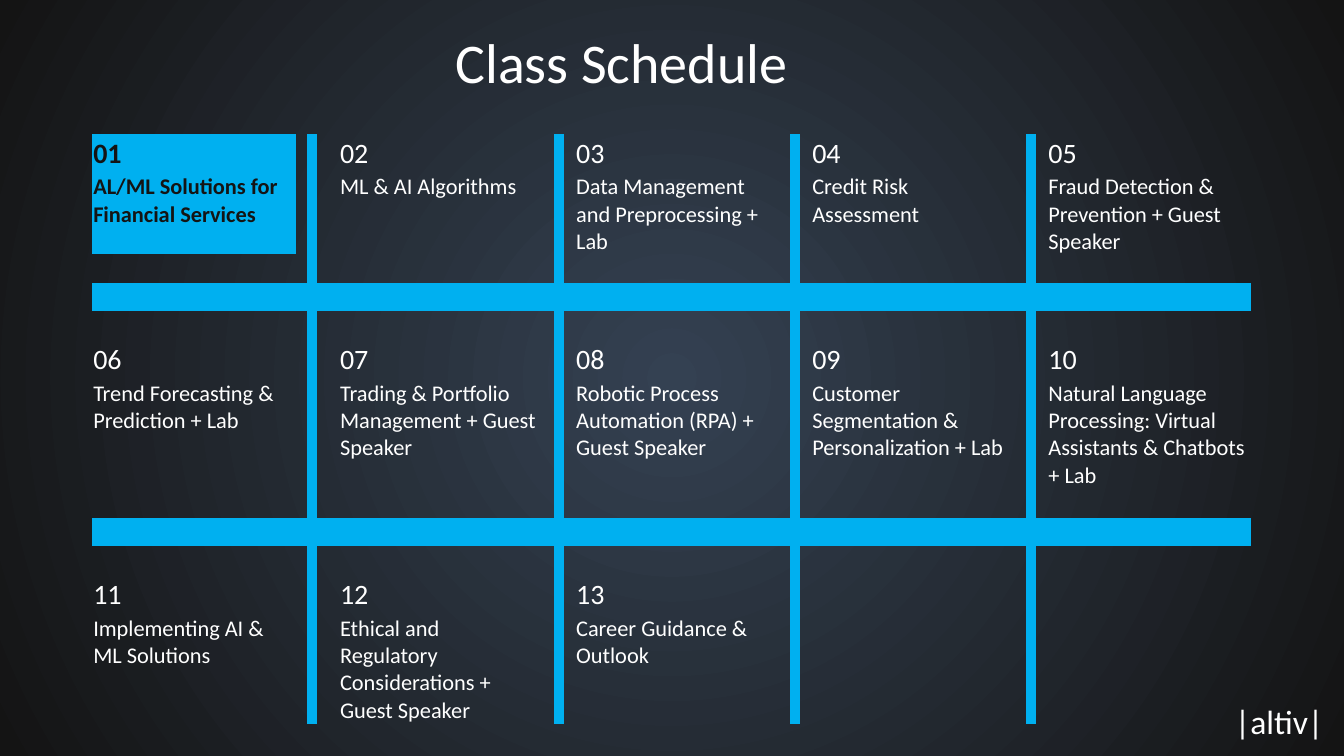
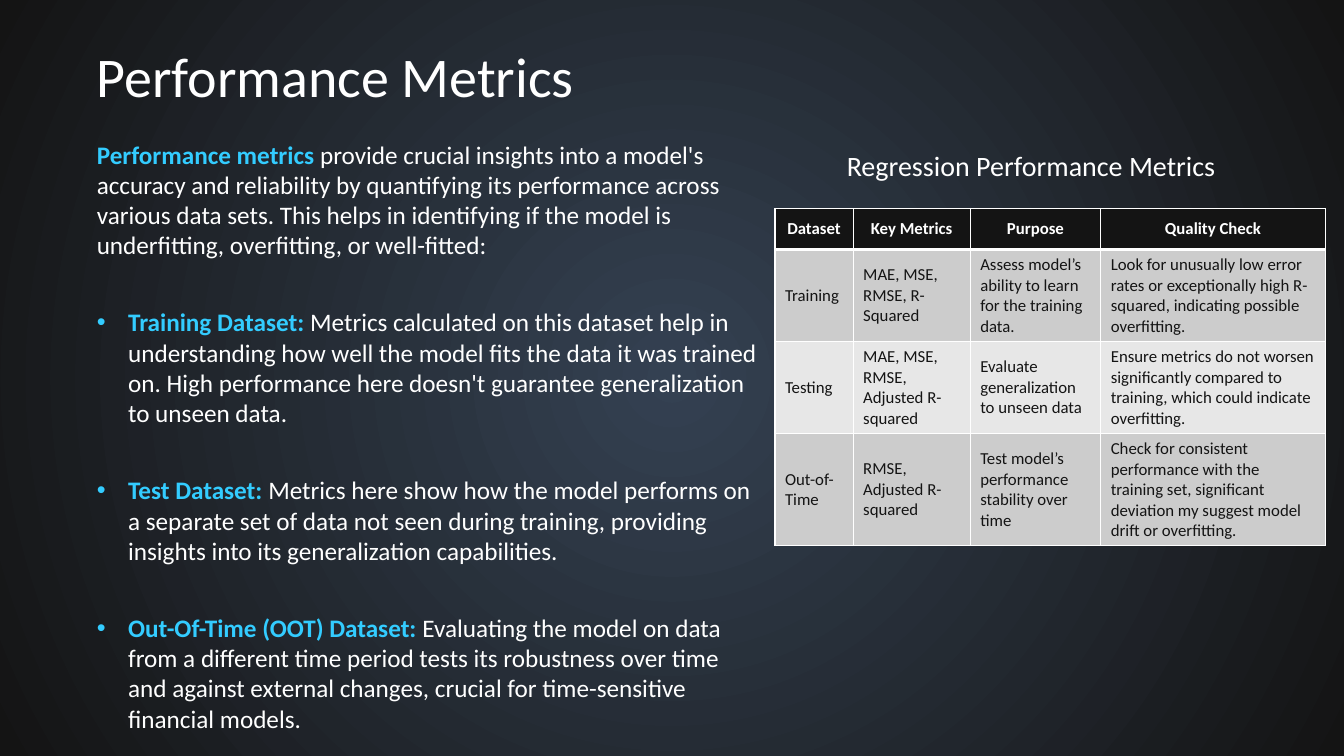
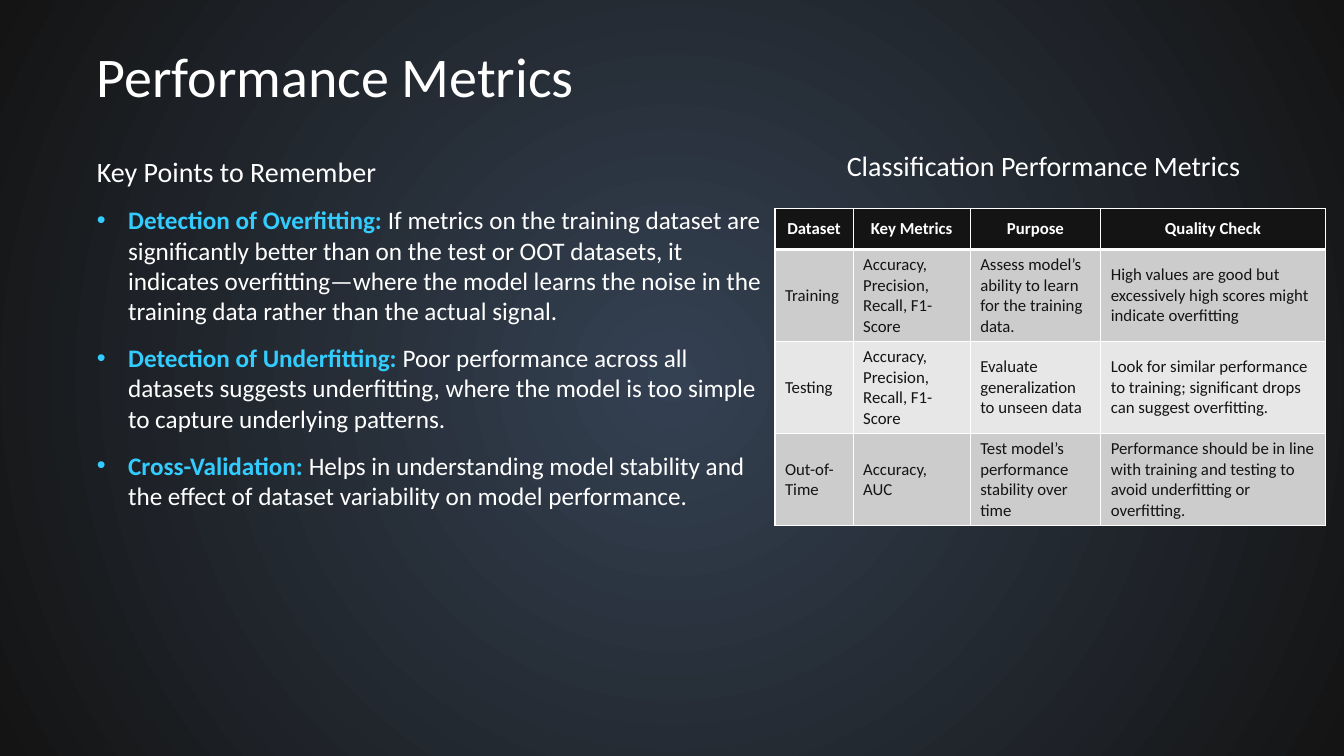
from dataclasses import dataclass

from lxml.etree import SubElement
from pptx import Presentation
from pptx.dml.color import RGBColor
from pptx.enum.shapes import MSO_SHAPE
from pptx.enum.text import MSO_ANCHOR, PP_ALIGN
from pptx.oxml.ns import qn
from pptx.util import Cm, Pt


# Theme
@dataclass(frozen=True)
class TextStyle:
    size: float
    color: RGBColor
    bold: bool = False


@dataclass(frozen=True)
class Theme:
    font: str = "Calibri"
    white: RGBColor = RGBColor(0xFF, 0xFF, 0xFF)
    ink: RGBColor = RGBColor(0x14, 0x14, 0x14)
    glow: RGBColor = RGBColor(0x34, 0x41, 0x52)
    grid: RGBColor = RGBColor(0x00, 0xB0, 0xF0)
    accent: RGBColor = RGBColor(0x33, 0xCC, 0xFF)
    row_fills: tuple = (RGBColor(0xCC, 0xCC, 0xCC), RGBColor(0xE7, 0xE7, 0xE7))
    title_size: float = 40
    brand_size: float = 24
    heading_size: float = 20
    body_size: float = 18
    topic_size: float = 16
    metric_size: float = 12
    empty_size: float = 8


THEME = Theme()
TITLE = TextStyle(THEME.title_size, THEME.white)
BRAND = TextStyle(THEME.brand_size, THEME.white)
HEADING = TextStyle(THEME.heading_size, THEME.white)
BODY = TextStyle(THEME.body_size, THEME.white)
TERM = TextStyle(THEME.body_size, THEME.accent, True)
METRIC_HEAD = TextStyle(THEME.metric_size, THEME.white, True)
METRIC = TextStyle(THEME.metric_size, THEME.ink)

SLIDE_WIDTH, SLIDE_HEIGHT = Cm(33.87), Cm(19.05)
NO_STYLE = "{2D5ABB26-0587-4C30-8999-92F81FD0307C}"


# Content types
@dataclass(frozen=True)
class Box:
    left: float
    top: float
    width: float
    height: float


@dataclass(frozen=True)
class Passage:
    runs: tuple
    bullet: bool = False
    space_before: float = 0
    align: PP_ALIGN = PP_ALIGN.LEFT


@dataclass(frozen=True)
class MetricsSlide:
    body_top: float
    passages: tuple
    heading: str
    rows: tuple
    last_height: float


def point(term: str, text: str, space_before: float) -> Passage:
    return Passage(((term + " ", TERM), (text, BODY)), True, space_before)


# Class schedule
LESSONS = (
    "AL/ML Solutions for Financial Services",
    "ML & AI Algorithms",
    "Data Management and Preprocessing + Lab",
    "Credit Risk Assessment",
    "Fraud Detection & Prevention + Guest Speaker",
    "Trend Forecasting & Prediction + Lab",
    "Trading & Portfolio Management + Guest Speaker",
    "Robotic Process Automation (RPA) + Guest Speaker",
    "Customer Segmentation & Personalization + Lab",
    "Natural Language Processing: Virtual Assistants & Chatbots + Lab",
    "Implementing AI & ML Solutions",
    "Ethical and Regulatory Considerations + Guest Speaker",
    "Career Guidance & Outlook",
)
# T = topic, s = space, | = bar
SCHEDULE_COLUMNS = "Ts|ssTs|sTs|sTs|sT"
COLUMN_WIDTHS = {"T": 5.14, "s": 0.27, "|": 0.27}
DIVIDER = [("space", 0.74), ("band", 0.7), ("space", 0.74)]
LATER_LESSONS = [("number", 0.96), ("topic", 2.78)]
SCHEDULE_ROWS = [("number", 0.96), ("topic", 2.05)] + (DIVIDER + LATER_LESSONS) * 2

# Performance metrics
METRIC_HEADINGS = ("Dataset", "Key Metrics", "Purpose", "Quality Check")
METRIC_WIDTHS = (1.97, 2.95, 3.29, 5.66)
HEADER_HEIGHT, METRIC_HEIGHT = 1.04, 2.32
DATASETS = ("Training", "Testing", "Out-of-Time")
PURPOSES = (
    "Assess model’s ability to learn for the training data.",
    "Evaluate generalization to unseen data",
    "Test model’s performance stability over time",
)

REGRESSION = MetricsSlide(
    3.5,
    (
        Passage((
            ("Performance metrics ", TERM),
            ("provide crucial insights into a model's accuracy and reliability by "
             "quantifying its performance across various data sets. This helps in "
             "identifying if the model is underfitting, overfitting, or well-fitted:", BODY),
        )),
        point("Training Dataset:",
              "Metrics calculated on this dataset help in understanding how well the model "
              "fits the data it was trained on. High performance here doesn't guarantee "
              "generalization to unseen data.", 33.5),
        point("Test Dataset:",
              "Metrics here show how the model performs on a separate set of data not seen "
              "during training, providing insights into its generalization capabilities.", 33.5),
        point("Out-Of-Time (OOT) Dataset:",
              "Evaluating the model on data from a different time period tests its robustness "
              "over time and against external changes, crucial for time-sensitive financial "
              "models.", 33.5),
    ),
    "Regression Performance Metrics",
    (
        ("MAE, MSE, RMSE, R-Squared",
         "Look for unusually low error rates or exceptionally high R-squared, "
         "indicating possible overfitting."),
        ("MAE, MSE, RMSE, Adjusted R-squared",
         "Ensure metrics do not worsen significantly compared to training, "
         "which could indicate overfitting."),
        ("RMSE, Adjusted R-squared",
         "Check for consistent performance with the training set, significant "
         "deviation my suggest model drift or overfitting."),
    ),
    2.82,
)
CLASSIFICATION = MetricsSlide(
    3.89,
    (
        Passage((("Key Points to Remember", HEADING),)),
        point("Detection of Overfitting:",
              "If metrics on the training dataset are significantly better than on the test "
              "or OOT datasets, it indicates overfitting—where the model learns the noise in "
              "the training data rather than the actual signal.", 12),
        point("Detection of Underfitting:",
              "Poor performance across all datasets suggests underfitting, where the model is "
              "too simple to capture underlying patterns.", 12),
        point("Cross-Validation:",
              "Helps in understanding model stability and the effect of dataset variability "
              "on model performance.", 12),
    ),
    "Classification Performance Metrics",
    (
        ("Accuracy, Precision, Recall, F1-Score",
         "High values are good but excessively high scores might indicate overfitting"),
        ("Accuracy, Precision, Recall, F1-Score",
         "Look for similar performance to training; significant drops can suggest overfitting."),
        ("Accuracy, AUC",
         "Performance should be in line with training and testing to avoid underfitting "
         "or overfitting."),
    ),
    METRIC_HEIGHT,
)


# Text
def add_run(paragraph, text: str, style: TextStyle) -> None:
    run = paragraph.add_run()
    run.text = text
    run.font.name = THEME.font
    run.font.size = Pt(style.size)
    run.font.bold = style.bold
    run.font.color.rgb = style.color


def add_bullet(paragraph) -> None:
    properties = paragraph._p.get_or_add_pPr()
    properties.set("marL", str(Cm(0.79)))
    properties.set("indent", str(-Cm(0.79)))
    color = SubElement(properties, qn("a:buClr"))
    SubElement(color, qn("a:srgbClr"), val=str(THEME.accent))
    SubElement(properties, qn("a:buFont"), typeface="Arial")
    SubElement(properties, qn("a:buChar"), char="•")


def add_text(slide, box: Box, passages: tuple, wrap: bool = True) -> None:
    frame = slide.shapes.add_textbox(
        Cm(box.left), Cm(box.top), Cm(box.width), Cm(box.height)).text_frame
    frame.word_wrap = wrap
    frame.margin_left = frame.margin_right = frame.margin_top = frame.margin_bottom = 0
    for index, passage in enumerate(passages):
        paragraph = frame.add_paragraph() if index else frame.paragraphs[0]
        if passage.bullet:
            add_bullet(paragraph)
        paragraph.alignment = passage.align
        if passage.space_before:
            paragraph.space_before = Pt(passage.space_before)
        for text, style in passage.runs:
            add_run(paragraph, text, style)


def add_line(slide, box: Box, text: str, style: TextStyle,
             align: PP_ALIGN = PP_ALIGN.LEFT, wrap: bool = True) -> None:
    add_text(slide, box, (Passage(((text, style),), align=align),), wrap)


# Shared slide base
def add_dark_slide(deck):
    slide = deck.slides.add_slide(deck.slide_layouts[6])
    backdrop = slide.shapes.add_shape(MSO_SHAPE.RECTANGLE, 0, 0, SLIDE_WIDTH, SLIDE_HEIGHT)
    backdrop.shadow.inherit = False
    backdrop.line.fill.background()
    backdrop.fill.gradient()
    for stop, color in zip(backdrop.fill.gradient_stops, (THEME.glow, THEME.ink)):
        stop.color.rgb = color
    gradient = backdrop._element.spPr.find(qn("a:gradFill"))
    gradient.remove(gradient.find(qn("a:lin")))
    circle = SubElement(gradient, qn("a:path"), path="circle")
    SubElement(circle, qn("a:fillToRect"), l="50000", t="50000", r="50000", b="50000")
    return slide


# Tables
def add_plain_table(slide, left: float, top: float, widths: list, heights: list):
    table = slide.shapes.add_table(
        len(heights), len(widths), Cm(left), Cm(top), Cm(sum(widths)), Cm(sum(heights))).table
    table.first_row = table.horz_banding = False
    table._tbl.tblPr.find(qn("a:tableStyleId")).text = NO_STYLE
    for column, width in zip(table.columns, widths):
        column.width = Cm(width)
    for row, height in zip(table.rows, heights):
        row.height = Cm(height)
    return table


def set_fill(cell, color: RGBColor) -> None:
    cell.fill.solid()
    cell.fill.fore_color.rgb = color


def set_borders(cell, top: float, bottom: float) -> None:
    properties = cell._tc.get_or_add_tcPr()
    for side, width in (("L", 1), ("R", 1), ("T", top), ("B", bottom)):
        line = SubElement(properties, qn(f"a:ln{side}"), w=str(Pt(width)))
        fill = SubElement(line, qn("a:solidFill"))
        SubElement(fill, qn("a:srgbClr"), val=str(THEME.white))


def add_schedule(slide) -> None:
    table = add_plain_table(slide, 2.32, 3.38,
                            [COLUMN_WIDTHS[kind] for kind in SCHEDULE_COLUMNS],
                            [height for _, height in SCHEDULE_ROWS])
    per_row = SCHEDULE_COLUMNS.count("T")
    for r, (row_kind, _) in enumerate(SCHEDULE_ROWS):
        for c, column_kind in enumerate(SCHEDULE_COLUMNS):
            cell = table.cell(r, c)
            cell.margin_left = cell.margin_right = cell.margin_top = Cm(0.03)
            cell.margin_bottom = 0
            paragraph = cell.text_frame.paragraphs[0]
            lesson = (r // (len(DIVIDER) + len(LATER_LESSONS)) * per_row
                      + SCHEDULE_COLUMNS[:c].count("T"))
            has_text = (column_kind == "T" and row_kind in ("number", "topic")
                        and lesson < len(LESSONS))
            current = has_text and lesson == 0
            if current or row_kind == "band" or column_kind == "|":
                set_fill(cell, THEME.grid)
            else:
                cell.fill.background()
            if not has_text:
                SubElement(paragraph._p, qn("a:endParaRPr"), sz=str(int(THEME.empty_size * 100)))
                continue
            color = THEME.ink if current else THEME.white
            if row_kind == "number":
                cell.vertical_anchor = MSO_ANCHOR.MIDDLE
                add_run(paragraph, f"{lesson + 1:02d}",
                        TextStyle(THEME.heading_size, color, current))
            else:
                add_run(paragraph, LESSONS[lesson], TextStyle(THEME.topic_size, color, current))


def add_metrics_table(slide, content: MetricsSlide) -> None:
    rows = [METRIC_HEADINGS] + [
        (dataset, metrics, purpose, check)
        for dataset, purpose, (metrics, check) in zip(DATASETS, PURPOSES, content.rows)]
    table = add_plain_table(
        slide, 19.53, 5.25, METRIC_WIDTHS,
        [HEADER_HEIGHT, METRIC_HEIGHT, METRIC_HEIGHT, content.last_height])
    table.first_row = True
    for r, texts in enumerate(rows):
        header = r == 0
        for c, text in enumerate(texts):
            cell = table.cell(r, c)
            set_borders(cell, 3 if r == 1 else 1, 3 if header else 1)
            set_fill(cell, THEME.ink if header else THEME.row_fills[(r - 1) % 2])
            cell.vertical_anchor = MSO_ANCHOR.MIDDLE
            paragraph = cell.text_frame.paragraphs[0]
            paragraph.alignment = PP_ALIGN.CENTER if header else PP_ALIGN.LEFT
            add_run(paragraph, text, METRIC_HEAD if header else METRIC)


# Slides
def build_schedule_slide(deck) -> None:
    slide = add_dark_slide(deck)
    add_line(slide, Box(10.44, 0.69, 10.44, 2), "Class Schedule", TITLE, PP_ALIGN.CENTER)
    add_schedule(slide)
    add_line(slide, Box(31.12, 17.65, 2.51, 1.14), "|altiv|", BRAND, wrap=False)


def build_metrics_slide(deck, content: MetricsSlide) -> None:
    slide = add_dark_slide(deck)
    add_line(slide, Box(2.44, 1.04, 17.75, 2), "Performance Metrics", TITLE)
    add_text(slide, Box(2.44, content.body_top, 16.76, 12.34), content.passages)
    add_metrics_table(slide, content)
    add_line(slide, Box(21.34, 3.73, 10.08, 1), content.heading, HEADING)


def main() -> None:
    deck = Presentation()
    deck.slide_width, deck.slide_height = SLIDE_WIDTH, SLIDE_HEIGHT
    build_schedule_slide(deck)
    for content in (REGRESSION, CLASSIFICATION):
        build_metrics_slide(deck, content)
    deck.save("out.pptx")


if __name__ == "__main__":
    main()
